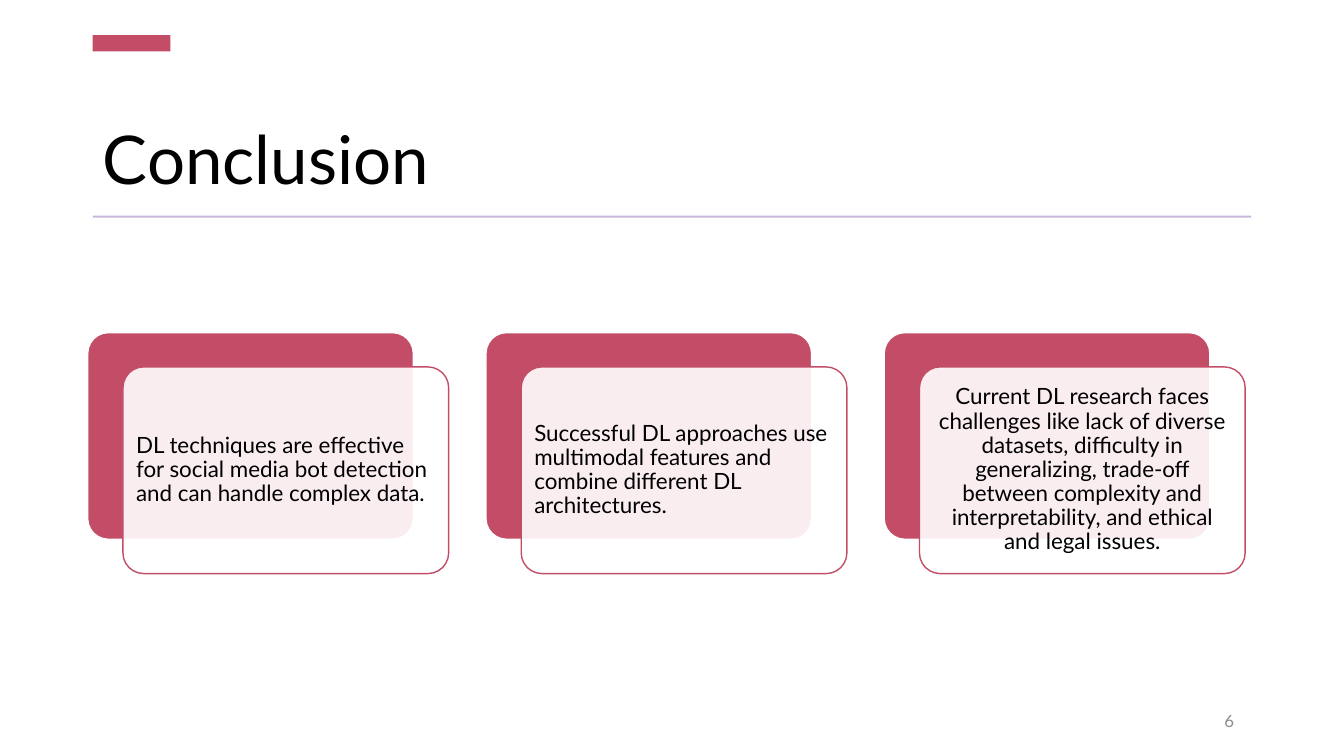
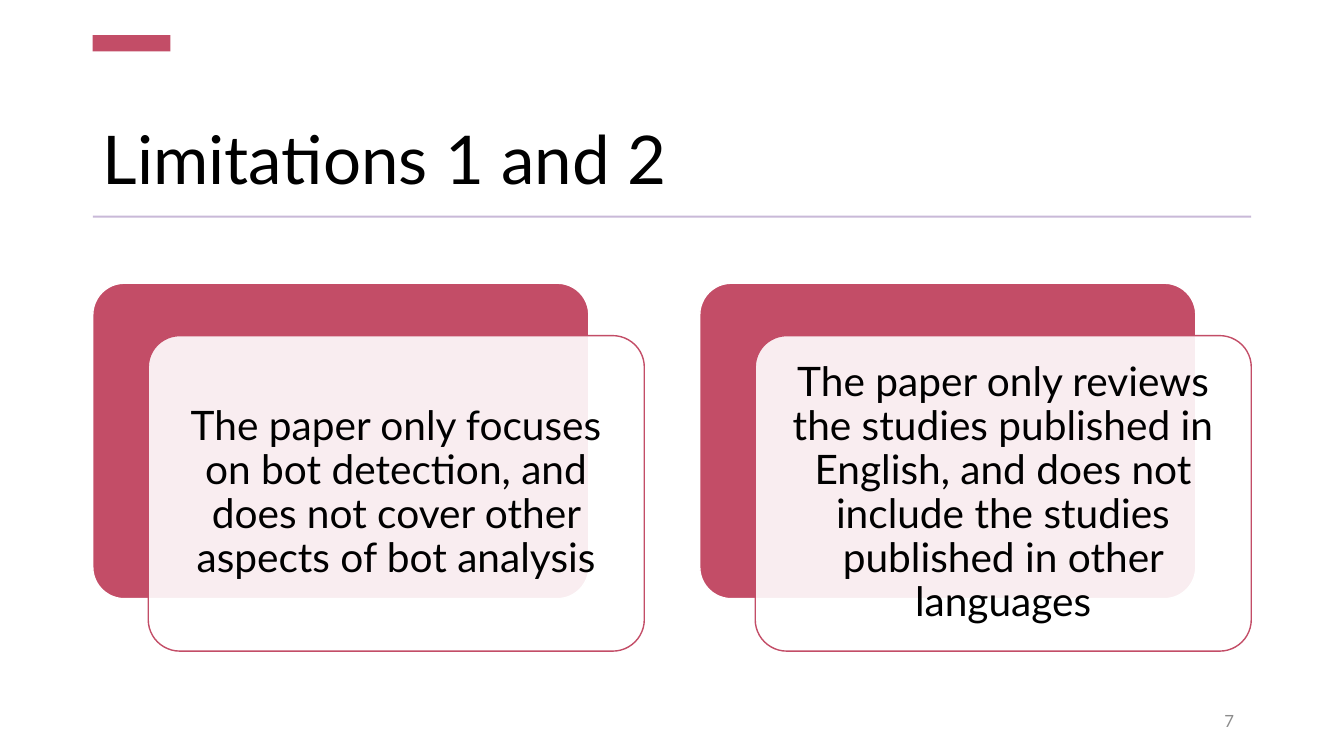
from lxml import etree
from pptx import Presentation
from pptx.dml.color import RGBColor
from pptx.enum import shapes, text
from pptx.oxml import ns
from pptx.util import Inches, Pt

ROSE, LILAC, WHITE, BLACK, GREY = "C34D67", "C9B9D8", "FFFFFF", "000000", "8C8C8C"
FONT = "Lato"
LEFT, CENTER, RIGHT = text.PP_ALIGN.LEFT, text.PP_ALIGN.CENTER, text.PP_ALIGN.RIGHT

TITLE_BOX = (0.92, 0.75, 11.49, 1.27)
ACCENT_BOX = (0.92, 0.35, 0.77, 0.16)
RULE_BOX = (0.92, 2.14, 11.49, 0.02)
NUMBER_BOX = (9.34, 6.95, 3, 0.4)

SLIDES = [
    {
        "title": "Conclusion",
        "number": "6",
        "start": (0.87, 3.3),
        "card": (3.23, 2.05),
        "pitch": 3.95,
        "offset": (0.35, 0.34),
        "inset": 0.07,
        "size": 16,
        "points": [
            ("DL techniques are effective for social media bot detection "
             "and can handle complex data.", LEFT),
            ("Successful DL approaches use multimodal features and combine "
             "different DL architectures.", LEFT),
            ("Current DL research faces challenges like lack of diverse datasets, "
             "difficulty in generalizing, trade-off between complexity and "
             "interpretability, and ethical and legal issues.", CENTER),
        ],
    },
    {
        "title": "Limitations 1 and 2",
        "number": "7",
        "start": (0.92, 2.81),
        "card": (4.92, 3.13),
        "pitch": 6.02,
        "offset": (0.55, 0.52),
        "inset": 0.12,
        "size": 29,
        "points": [
            ("The paper only focuses on bot detection, and does not cover "
             "other aspects of bot analysis", CENTER),
            ("The paper only reviews the studies published in English, and does "
             "not include the studies published in other languages", CENTER),
        ],
    },
]


def rgb(value):
    return RGBColor.from_string(value)


def write(shape, words, size, color, align, anchor, spacing=0.9, inset=None):
    frame = shape.text_frame
    frame.text = words
    frame_format = {"word_wrap": True, "vertical_anchor": anchor,
                    "auto_size": text.MSO_AUTO_SIZE.NONE}
    if inset is not None:
        for side in ("left", "top", "right", "bottom"):
            frame_format[f"margin_{side}"] = Inches(inset)
    paragraph = frame.paragraphs[0]
    font = paragraph.runs[0].font
    font.color.rgb = rgb(color)
    for target, values in (
        (frame, frame_format),
        (paragraph, {"alignment": align, "line_spacing": spacing}),
        (font, {"name": FONT, "size": Pt(size)}),
    ):
        for key, value in values.items():
            setattr(target, key, value)


def add_block(slide, kind, box, fill, line=None, opacity=None):
    block = slide.shapes.add_shape(kind, *map(Inches, box))
    block.shadow.inherit = False
    block.fill.solid()
    block.fill.fore_color.rgb = rgb(fill)
    if line:
        block.line.color.rgb = rgb(line)
        block.line.width = Pt(1)
    else:
        block.line.fill.background()
    if opacity:
        color = block.element.spPr.find(ns.qn("a:solidFill"))[0]
        etree.SubElement(color, ns.qn("a:alpha")).set("val", str(opacity * 1000))
    return block


def add_frame(slide, heading, number):
    title = slide.shapes.title
    for key, value in zip(("left", "top", "width", "height"), TITLE_BOX):
        setattr(title, key, Inches(value))
    write(title, heading, 48, BLACK, LEFT, text.MSO_ANCHOR.BOTTOM)
    for box, color in ((ACCENT_BOX, ROSE), (RULE_BOX, LILAC)):
        add_block(slide, shapes.MSO_SHAPE.RECTANGLE, box, color)
    page = slide.shapes.add_textbox(*map(Inches, NUMBER_BOX))
    write(page, number, 12, GREY, RIGHT, text.MSO_ANCHOR.MIDDLE, spacing=1.0)


def add_cards(slide, content):
    left, top = content["start"]
    dx, dy = content["offset"]
    for index, (words, align) in enumerate(content["points"]):
        x = left + index * content["pitch"]
        back = add_block(slide, shapes.MSO_SHAPE.ROUNDED_RECTANGLE,
                         (x, top, *content["card"]), ROSE, WHITE)
        front = add_block(slide, shapes.MSO_SHAPE.ROUNDED_RECTANGLE,
                          (x + dx, top + dy, *content["card"]), WHITE, ROSE, 90)
        for card in (back, front):
            card.adjustments[0] = 0.1
        write(front, words, content["size"], BLACK, align,
              text.MSO_ANCHOR.MIDDLE, inset=content["inset"])


deck = Presentation()
deck.slide_width, deck.slide_height = Inches(13.33), Inches(7.5)
title_only = deck.slide_layouts[5]
for content in SLIDES:
    slide = deck.slides.add_slide(title_only)
    add_frame(slide, content["title"], content["number"])
    add_cards(slide, content)
deck.save("out.pptx")
